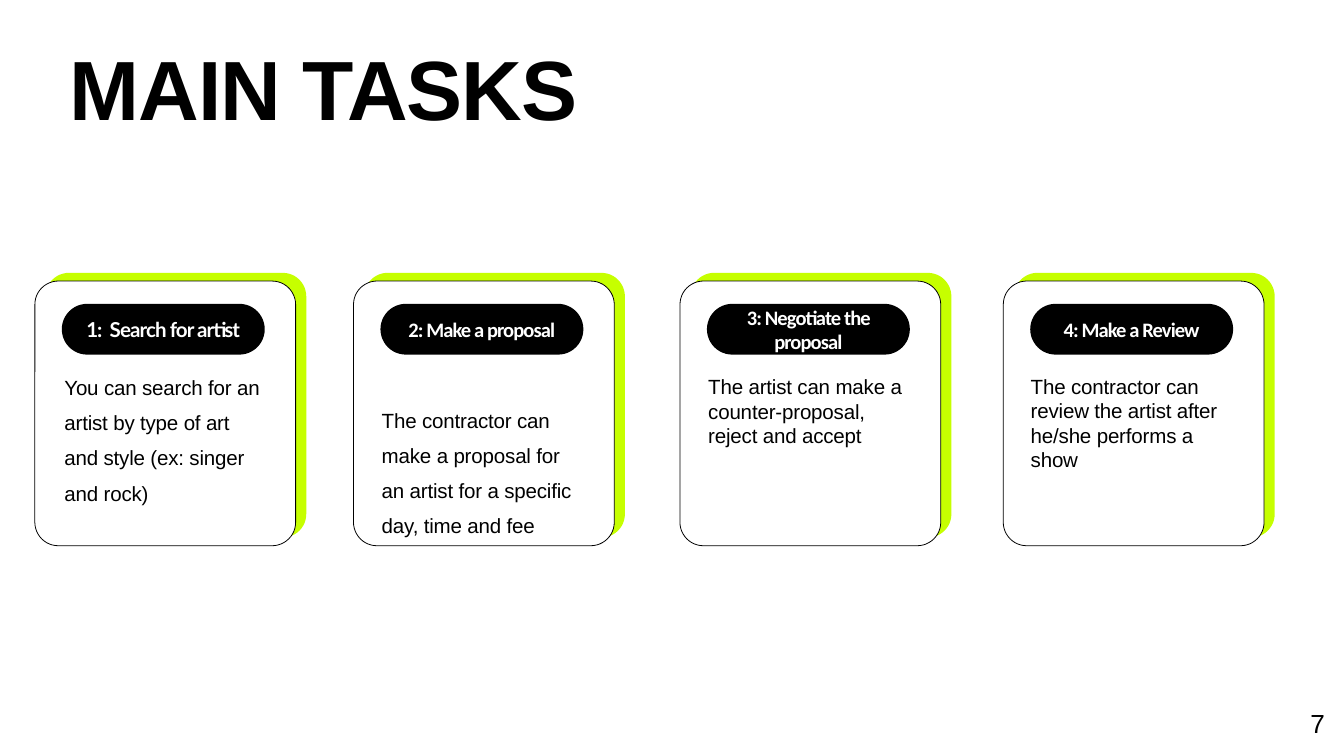
from collections import namedtuple

from pptx import Presentation
from pptx.dml.color import RGBColor
from pptx.enum.shapes import MSO_SHAPE as Shape
from pptx.enum.text import MSO_ANCHOR as Anchor, MSO_AUTO_SIZE as AutoSize, PP_ALIGN as Align
from pptx.util import Pt

COLORS = {"ink": "000000", "paper": "FFFFFF", "lime": "C6FF00"}

Box = namedtuple("Box", "left top width height")
Task = namedtuple("Task", "left heading heading_font body body_box leading")

CARD_TOP, CARD_WIDTH, CARD_HEIGHT = 150.6, 139.7, 141.8

# Body boxes are relative to the top left corner of their card
TASKS = [
    Task(18.7, "1:  Search for artist", "Lato",
         "You can search for an artist by type of art and style (ex: singer and rock)",
         Box(15.8, 45.2, 108.7, 74.9), 18.8),
    Task(189.4, "2: Make a proposal", "Calibri",
         "The contractor can make a proposal for an artist for a specific day, time and fee",
         Box(15.1, 43.8, 108.7, 93.6), 18.8),
    Task(364.3, "3: Negotiate the proposal", "Calibri",
         "The artist can make a counter-proposal, reject and accept",
         Box(15.1, 49.6, 108.7, 39.6), 13.1),
    Task(537.5, "4: Make a Review", "Calibri",
         "The contractor can review the artist after he/she performs a show",
         Box(14.7, 49.6, 103, 52.6), 13.1),
]


def rgb(name):
    return RGBColor.from_string(COLORS[name])


def points(box):
    return [Pt(value) for value in box]


def write(frame, text, size, leading, font="Arial", color="ink", bold=False,
          spacing=-0.1, align=Align.LEFT, anchor=Anchor.TOP, margins=(0, 0), wrap=True):
    """Fill a text frame with one formatted paragraph."""
    frame.text = text
    frame.word_wrap = wrap
    frame.auto_size = AutoSize.NONE
    frame.vertical_anchor = anchor
    frame.margin_left = frame.margin_right = Pt(margins[0])
    frame.margin_top = frame.margin_bottom = Pt(margins[1])
    paragraph = frame.paragraphs[0]
    paragraph.alignment = align
    paragraph.line_spacing = Pt(leading)
    paragraph.space_before = Pt(0)
    run = paragraph.runs[0]
    run.font.name, run.font.size, run.font.bold = font, Pt(size), bold
    run.font.color.rgb = rgb(color)
    # Letter spacing is held in hundredths of a point
    run._r.get_or_add_rPr().set("spc", str(round(spacing * 100)))


def add_panel(slide, box, fill, rounding, outlined=False):
    panel = slide.shapes.add_shape(Shape.ROUNDED_RECTANGLE, *points(box))
    panel.adjustments[0] = rounding
    panel.shadow.inherit = False
    panel.fill.solid()
    panel.fill.fore_color.rgb = rgb(fill)
    if outlined:
        panel.line.color.rgb = rgb("ink")
        panel.line.width = Pt(0.42)
    else:
        panel.line.fill.background()
    return panel


def add_title(slide, box):
    title = slide.shapes.title
    title.left, title.top, title.width, title.height = points(box)
    write(title.text_frame, "MAIN TASKS", 45, 36, bold=True, spacing=-0.5)


def add_task_card(slide, box, task):
    # Lime backing and white face
    backing = box._replace(left=box.left + 5.7, top=box.top - 4.4)
    add_panel(slide, backing, "lime", 0.09)
    add_panel(slide, box, "paper", 0.09, outlined=True)

    # Description
    body_box = task.body_box._replace(left=box.left + task.body_box.left,
                                      top=box.top + task.body_box.top)
    body = slide.shapes.add_textbox(*points(body_box))
    write(body.text_frame, task.body, 11, task.leading, anchor=Anchor.BOTTOM)

    # Heading pill
    pill = add_panel(slide, Box(box.left + 14.4, box.top + 12.2, 108.7, 27.2), "ink", 0.5)
    write(pill.text_frame, task.heading, 11, 13.1, font=task.heading_font, color="paper",
          bold=True, spacing=-0.5, align=Align.CENTER, anchor=Anchor.MIDDLE,
          margins=(5.76, 2.88))


def add_page_number(slide, box):
    number = slide.shapes.add_textbox(*points(box))
    write(number.text_frame, "7", 14, 16.9, wrap=False)


def main():
    prs = Presentation()
    prs.slide_width, prs.slide_height = Pt(720), Pt(405)
    slide = prs.slides.add_slide(prs.slide_layouts[5])

    add_title(slide, Box(37.4, 37.4, 645, 36))
    for task in TASKS:
        add_task_card(slide, Box(task.left, CARD_TOP, CARD_WIDTH, CARD_HEIGHT), task)
    add_page_number(slide, Box(702, 378.7, 7.2, 16.6))

    prs.save("out.pptx")


if __name__ == "__main__":
    main()
